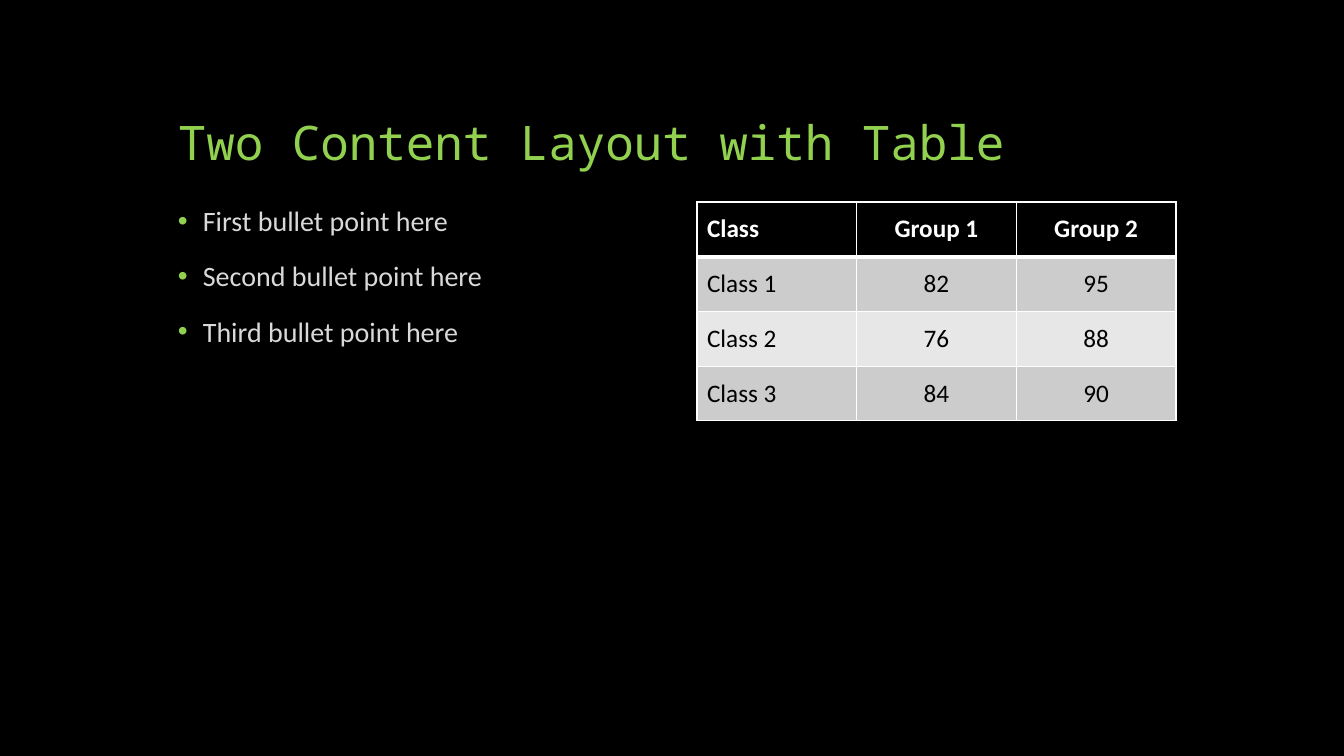
from lxml import etree
from pptx import Presentation
from pptx.dml import color
from pptx.enum import text
from pptx.oxml import ns
from pptx.util import Emu, Pt

SCALE = 914400 / 100.8
GREEN, WHITE, BLACK = "92D050", "FFFFFF", "000000"
BULLETS = ["First bullet point here", "Second bullet point here",
           "Third bullet point here"]
SCORES = [["Class", "Group 1", "Group 2"],
          ["Class 1", "82", "95"],
          ["Class 2", "76", "88"],
          ["Class 3", "84", "90"]]


def px(*sizes):
    """Turn whole pixels into a list of EMU lengths."""
    return [Emu(round(size * SCALE)) for size in sizes]


def paint(fill, shade):
    """Give a fill one solid colour."""
    fill.solid()
    fill.fore_color.rgb = color.RGBColor.from_string(shade)


def style(para, face, size, shade, bold=False):
    """Set the font of a whole paragraph."""
    font = para.font
    font.name, font.size, font.bold = face, Pt(size), bold
    paint(font.fill, shade)


def add(node, tag, **attrs):
    """Append a drawing element to an XML node."""
    return etree.SubElement(node, ns.qn("a:" + tag), attrs)


def add_box(slide, place, anchor):
    """Add a wrapped text box and return its text frame."""
    frame = slide.shapes.add_textbox(*px(*place)).text_frame
    frame.word_wrap = True
    frame.vertical_anchor = anchor
    return frame


def add_title(slide, words, place):
    """Add the slide title, resting on the bottom of its box."""
    para = add_box(slide, place, text.MSO_ANCHOR.BOTTOM).paragraphs[0]
    para.text, para.line_spacing = words, 0.9
    style(para, "Noto Sans Mono", 34, GREEN)


def add_list(slide, items, place):
    """Add a list with green bullets and hanging indents."""
    frame = add_box(slide, place, text.MSO_ANCHOR.TOP)
    frame.text = "\n".join(items)
    for para in frame.paragraphs:
        para.line_spacing, para.space_before = 0.9, Pt(18)
        props = para._p.get_or_add_pPr()
        indent = px(25)[0]
        props.set("marL", str(indent))
        props.set("indent", str(-indent))
        add(add(props, "buClr"), "srgbClr", val=GREEN)
        add(props, "buFont", typeface="Arial")
        add(props, "buChar", char="\u2022")
        style(para, "Calibri", 20, "D9D9D9")


def edge(cell, side, width):
    """Draw one white border of a cell."""
    line = add(cell._tc.get_or_add_tcPr(), "ln" + side, w=str(Pt(width)))
    add(add(line, "solidFill"), "srgbClr", val=WHITE)


def add_grid(slide, rows, place):
    """Add a table with a black header and grey bands."""
    grid = slide.shapes.add_table(len(rows), len(rows[0]), *px(*place)).table
    for r, row in enumerate(rows):
        head = r == 0
        band = BLACK if head else ("E7E7E7", "CCCCCC")[r % 2]
        for c, value in enumerate(row):
            cell = grid.cell(r, c)
            cell.text = value
            cell.vertical_anchor = text.MSO_ANCHOR.MIDDLE
            para = cell.text_frame.paragraphs[0]
            if c:
                para.alignment = text.PP_ALIGN.CENTER
            style(para, "Calibri", 18, WHITE if head else BLACK, head)
            for side in "LRTB":
                thick = (r, side) in [(0, "B"), (1, "T")]
                edge(cell, side, 3 if thick else 1)
            paint(cell.fill, band)


def main():
    """Build the slide and save it."""
    deck = Presentation()
    deck.slide_width, deck.slide_height = px(1344, 756)
    slide = deck.slides.add_slide(deck.slide_layouts[6])
    paint(slide.background.fill, BLACK)
    add_title(slide, "Two Content Layout with Table", (168, 50, 1008, 126))
    add_list(slide, BULLETS, (168, 202, 479, 470))
    add_grid(slide, SCORES, (697, 202, 479, 219))
    deck.save("out.pptx")


main()
